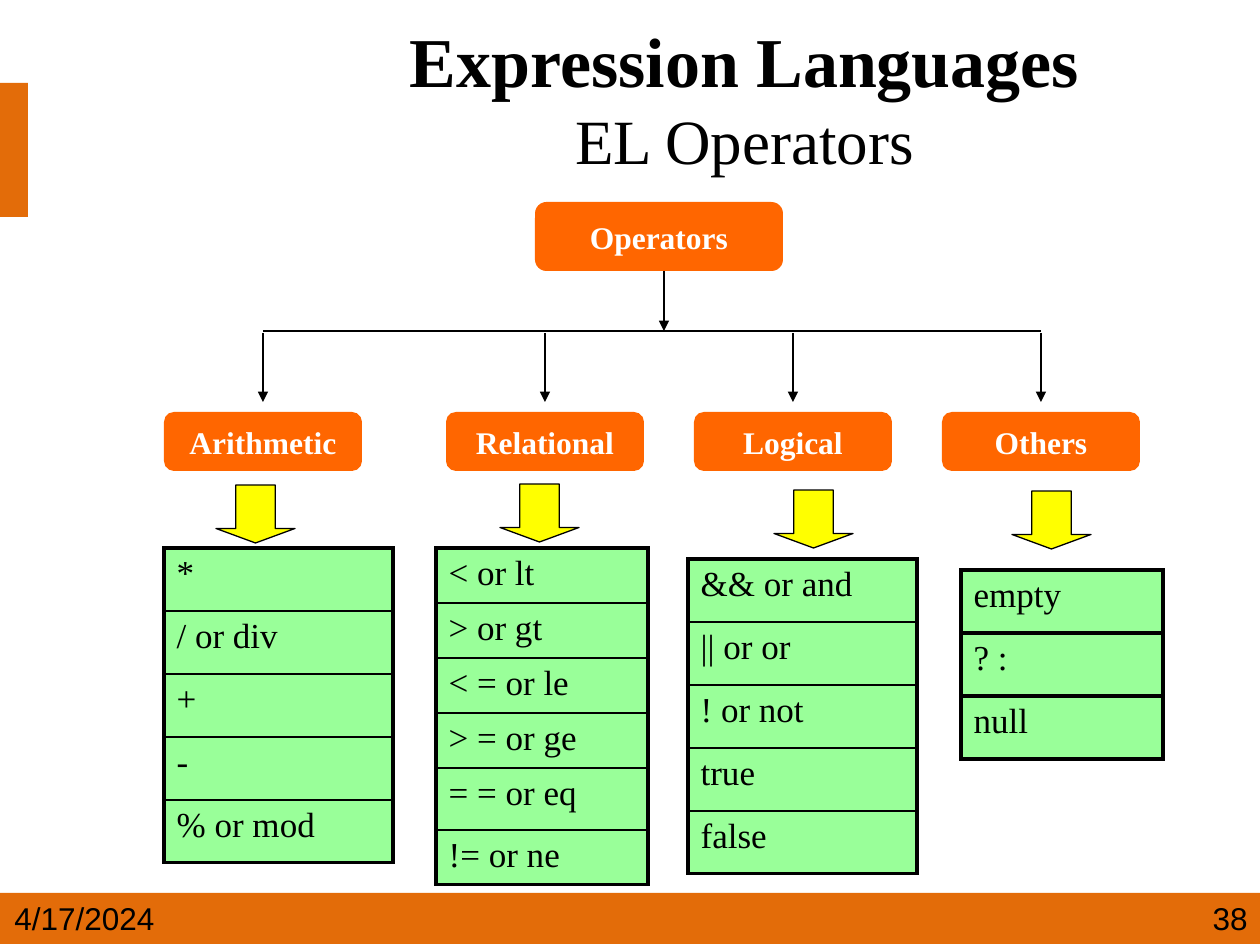
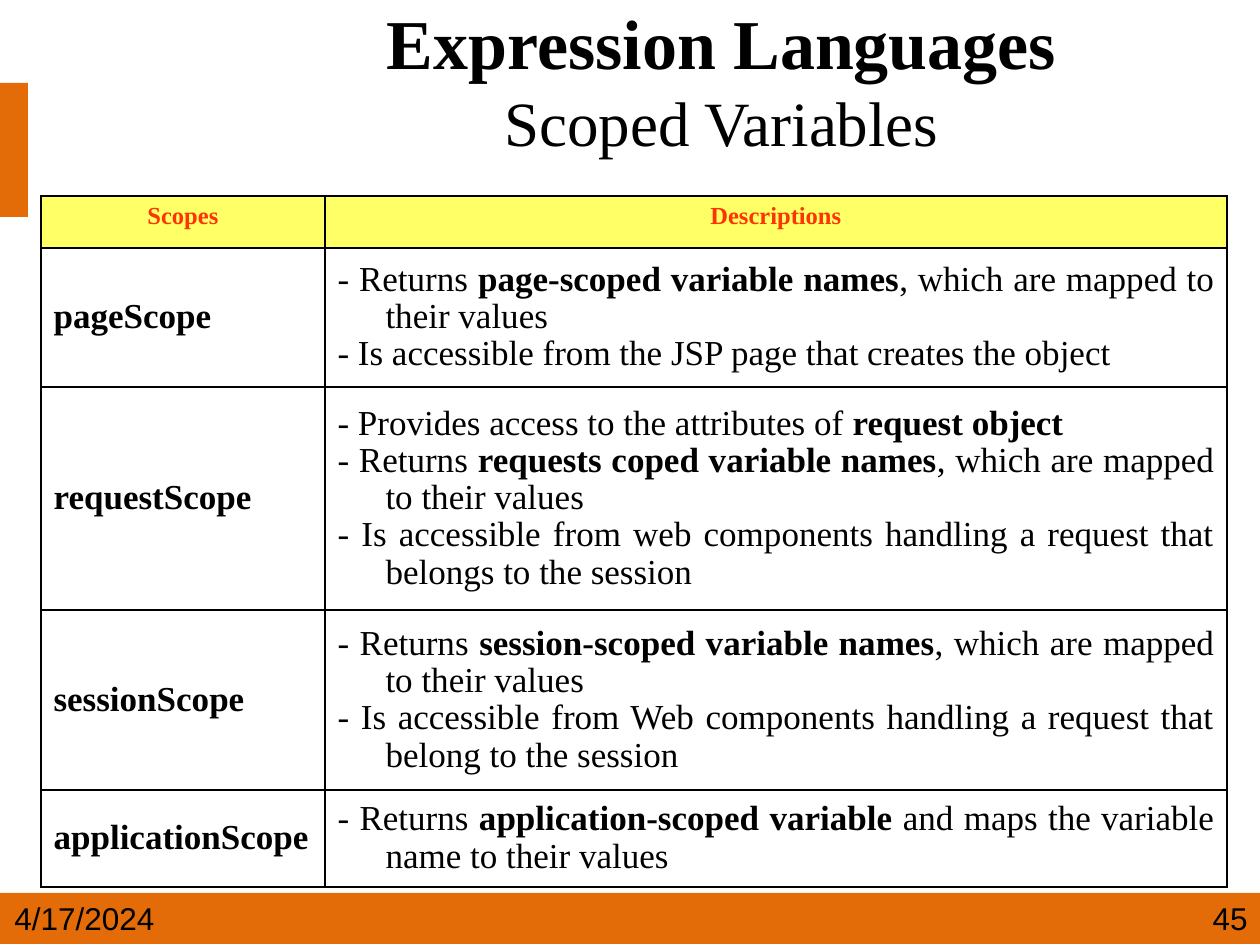
from dataclasses import dataclass

from lxml.etree import SubElement
from pptx import Presentation
from pptx.dml.color import RGBColor as RGB
from pptx.enum.shapes import MSO_CONNECTOR as LINE, MSO_SHAPE as SHAPE
from pptx.enum.text import MSO_ANCHOR as ANCHOR, MSO_AUTO_SIZE as AUTOSIZE, PP_ALIGN as ALIGN
from pptx.oxml import parse_xml
from pptx.oxml.ns import nsdecls, qn
from pptx.util import Pt


@dataclass(frozen=True)
class Theme:
    serif: str = "Times New Roman"
    sans: str = "Arial"
    black: RGB = RGB(0, 0, 0)
    white: RGB = RGB(255, 255, 255)
    band: RGB = RGB.from_string("E36C09")
    node: RGB = RGB.from_string("FF6600")
    pointer: RGB = RGB.from_string("FFFF00")
    operator: RGB = RGB.from_string("99FF99")
    header: RGB = RGB.from_string("FFFF66")
    header_text: RGB = RGB.from_string("FF3300")
    title_size: int = 40
    subtitle_size: int = 36
    body_size: int = 20
    label_size: int = 18
    header_size: int = 14
    thick: float = 2.25
    thin: float = 1
    hairline: float = 0.75


theme = Theme()
px = 7257  # EMU per px, 126 px to the inch


def write(frame, lines, size, color=theme.black, bold=False, align=ALIGN.LEFT,
          font=theme.serif, hanging=0, spacing=None):
    """Fill a text frame, one paragraph a line; **marks** enclose bold words."""
    frame.word_wrap = True
    for number, line in enumerate(lines):
        paragraph = frame.add_paragraph() if number else frame.paragraphs[0]
        if hanging:
            properties = paragraph._p.get_or_add_pPr()
            properties.set("marL", str(hanging))
            properties.set("indent", str(-hanging))
        paragraph.alignment = align
        if spacing:
            paragraph.line_spacing = spacing
        paragraph.font.name = font
        paragraph.font.size = Pt(size)
        paragraph.font.color.rgb = color
        parts = line.split("**")
        if len(parts) == 1:
            paragraph.font.bold = bold
        for position, words in enumerate(parts):
            if words:
                run = paragraph.add_run()
                run.text = words
                if len(parts) > 1:
                    run.font.bold = position % 2 == 1


def set_borders(cell, left, right, top, bottom):
    properties = cell._tc.get_or_add_tcPr()
    sides = zip(("lnL", "lnR", "lnT", "lnB"), (left, right, top, bottom))
    for position, (side, width) in enumerate(sides):
        properties.insert(position, parse_xml(
            f'<a:{side} {nsdecls("a")} w="{Pt(width)}"><a:solidFill>'
            f'<a:srgbClr val="{theme.black}"/></a:solidFill></a:{side}>'))


deck = Presentation()
deck.slide_width, deck.slide_height = 1260 * px, 945 * px
title_only = deck.slide_layouts[5]

# Shared title, footer and bands
pages = [
    ("EL Operators", "38", (229, 1031, 195)),
    ("Scoped Variables", "45", (183, 1077, 159)),
]
for subtitle, page_number, (left, width, height) in pages:
    slide = deck.slides.add_slide(title_only)
    title = slide.shapes.title
    title.left, title.top = left * px, 0
    title.width, title.height = width * px, height * px
    title.text_frame.auto_size = AUTOSIZE.NONE
    title.text_frame.vertical_anchor = ANCHOR.MIDDLE
    heading = title.text_frame.paragraphs[0]
    heading.text = f"Expression Languages\v{subtitle}"
    heading.alignment = ALIGN.CENTER
    heading.font.name = theme.serif
    heading.font.color.rgb = theme.black
    for run, size, bold in zip(heading.runs, (theme.title_size, theme.subtitle_size), (True, False)):
        run.font.size = Pt(size)
        run.font.bold = bold

    for text, left, width, align in (("4/17/2024", 2, 192, ALIGN.LEFT),
                                     (page_number, 882, 378, ALIGN.RIGHT)):
        footer = slide.shapes.add_textbox(left * px, 893 * px, width * px, 50 * px)
        write(footer.text_frame, [text], theme.label_size, align=align, font=theme.sans)

operators_slide, scopes_slide = deck.slides
for left, top, width, height in ((0, 893, 1260, 51), (0, 83, 28, 134)):
    band = operators_slide.shapes.add_shape(
        SHAPE.RECTANGLE, left * px, top * px, width * px, height * px)
    band.shadow.inherit = False
    band.fill.solid()
    band.fill.fore_color.rgb = theme.band
    band.line.fill.background()
    title_only.shapes.element.append(band.element)

# Operator tree: name, node left, pointer (left, top),
# table (left, top, width), inner border, rows with heights
shapes = operators_slide.shapes
node_width = 198
families = [
    ("Arithmetic", 164, (216, 485), (164, 548, 229), theme.thin,
     [("*", 63), ("/ or div", 63), ("+", 63), ("-", 63), ("% or mod", 63)]),
    ("Relational", 446, (500, 484), (436, 548, 212), theme.thin,
     [("< or lt", 55), ("> or gt", 55), ("< = or le", 55), ("> = or ge", 55),
      ("= = or eq", 62), ("!= or ne", 55)]),
    ("Logical", 694, (774, 490), (688, 559, 229), theme.thin,
     [("&& or and", 63), ("|| or or", 63), ("! or not", 63), ("true", 63), ("false", 63)]),
    ("Others", 942, (1012, 491), (961, 570, 202), theme.thick,
     [("empty", 63), ("? :", 63), ("null", 63)]),
]

nodes = [("Operators", 535, 202, 248, 69)]
nodes += [(name, left, 412, node_width, 59) for name, left, *_ in families]
for name, left, top, width, height in nodes:
    node = shapes.add_shape(SHAPE.ROUNDED_RECTANGLE, left * px, top * px, width * px, height * px)
    node.shadow.inherit = False
    node.fill.solid()
    node.fill.fore_color.rgb = theme.node
    node.line.fill.background()
    node.text_frame.vertical_anchor = ANCHOR.MIDDLE
    write(node.text_frame, [name], theme.label_size, theme.white, True, ALIGN.CENTER)

centers = [left + node_width // 2 for _, left, *_ in families]
branches = [(664, 271, 664, 331, True), (centers[0], 331, centers[-1], 331, False)]
branches += [(center, 333, center, 402, True) for center in centers]
for x1, y1, x2, y2, has_head in branches:
    branch = shapes.add_connector(LINE.STRAIGHT, x1 * px, y1 * px, x2 * px, y2 * px)
    branch.line.color.rgb = theme.black
    branch.line.width = Pt(theme.hairline)
    if has_head:
        SubElement(branch.line._get_or_add_ln(), qn("a:tailEnd"), type="triangle")
    SubElement(branch._element.spPr, qn("a:effectLst"))

for _, _, (pointer_left, pointer_top), (left, top, width), inner, rows in families:
    pointer = shapes.add_shape(
        SHAPE.DOWN_ARROW, pointer_left * px, pointer_top * px, 79 * px, 58 * px)
    pointer.adjustments[1] = 0.25
    pointer.shadow.inherit = False
    pointer.fill.solid()
    pointer.fill.fore_color.rgb = theme.pointer
    pointer.line.color.rgb = theme.black
    pointer.line.width = Pt(theme.hairline)

    total = sum(height for _, height in rows)
    operators = shapes.add_table(
        len(rows), 1, left * px, top * px, width * px, total * px).table
    operators.first_row = operators.horz_banding = False
    for index, (operator, height) in enumerate(rows):
        operators.rows[index].height = height * px
        cell = operators.cell(index, 0)
        cell.fill.solid()
        cell.fill.fore_color.rgb = theme.operator
        write(cell.text_frame, [operator], theme.body_size)
        set_borders(cell, theme.thick, theme.thick,
                    inner if index else theme.thick,
                    inner if index < len(rows) - 1 else theme.thick)

# Scoped variables
scope_rows = [
    ("Scopes", ["Descriptions"], 52),
    ("pageScope", [
        "- Returns **page-scoped variable names**, which are mapped to their values",
        "- Is accessible from the JSP page that creates the object"], 139),
    ("requestScope", [
        "- Provides access to the attributes of **request object**",
        "- Returns **requests coped variable names**, which are mapped to their values",
        "- Is accessible from web components handling a request that belongs to the session"], 223),
    ("sessionScope", [
        "- Returns **session-scoped variable names**, which are mapped to their values",
        "- Is accessible from Web components handling a request that belong to the session"], 180),
    ("applicationScope", [
        "- Returns **application-scoped variable** and maps the variable name to their values"], 97),
]
column_widths = (284, 902)
total = sum(height for *_, height in scope_rows)
scopes = scopes_slide.shapes.add_table(
    len(scope_rows), 2, 41 * px, 196 * px, sum(column_widths) * px, total * px).table
scopes.first_row = scopes.horz_banding = False
for column, width in zip(scopes.columns, column_widths):
    column.width = width * px

for index, (scope, descriptions, height) in enumerate(scope_rows):
    scopes.rows[index].height = height * px
    for column, lines in enumerate(([scope], descriptions)):
        cell = scopes.cell(index, column)
        if index == 0:
            cell.fill.solid()
            cell.fill.fore_color.rgb = theme.header
            write(cell.text_frame, lines, theme.header_size, theme.header_text, True,
                  ALIGN.CENTER, hanging=48 * px)
        else:
            cell.fill.background()
            cell.vertical_anchor = ANCHOR.MIDDLE
            write(cell.text_frame, lines, theme.body_size, bold=column == 0,
                  align=ALIGN.JUSTIFY if column else ALIGN.LEFT,
                  hanging=48 * px, spacing=0.96)
        set_borders(cell, *[theme.thin] * 4)

deck.save("out.pptx")
